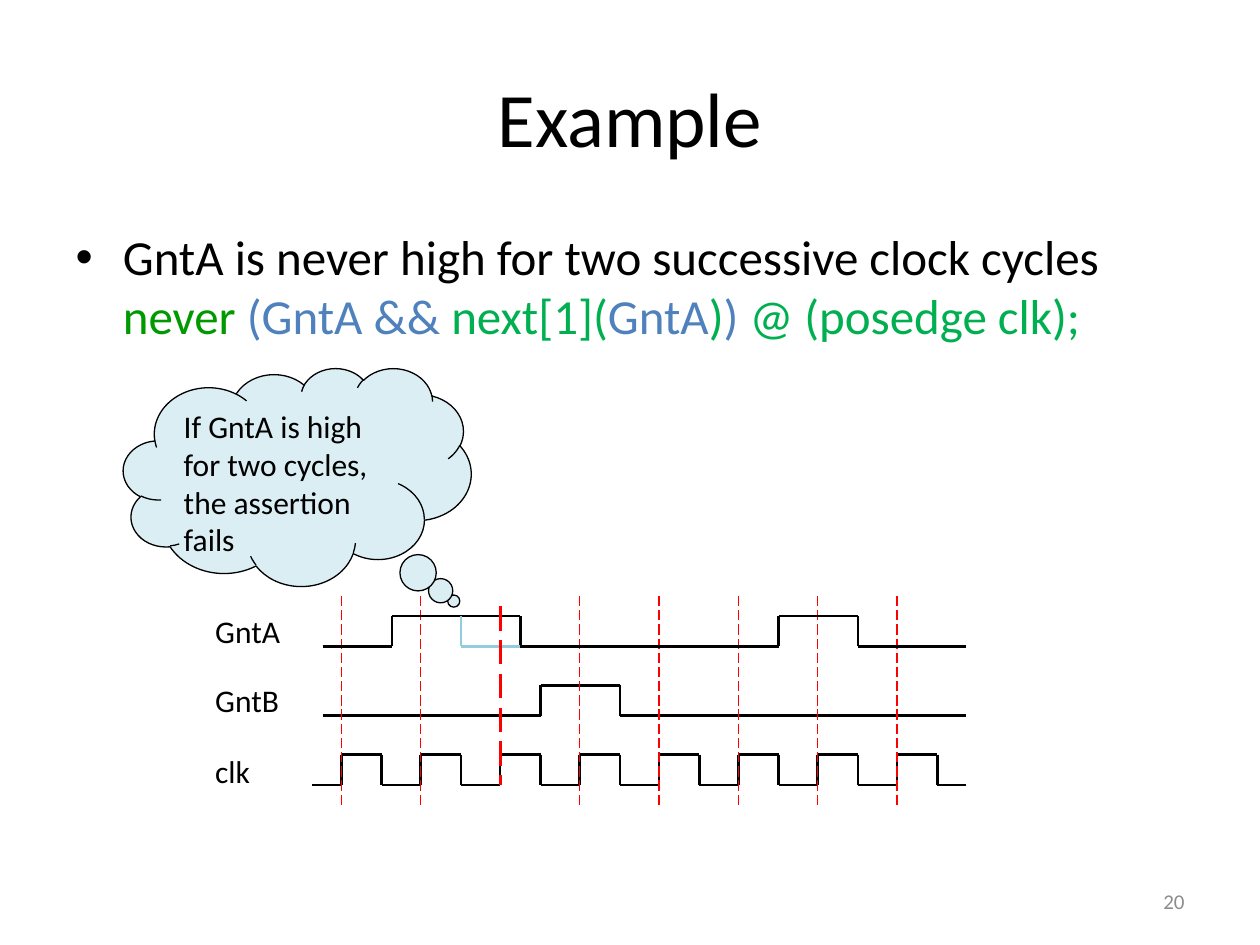
"""Build the GntA assertion slide with its timing diagram."""
from dataclasses import dataclass
from typing import Any, Optional

from lxml import etree
from pptx import Presentation
from pptx import util as u
from pptx.dml.color import RGBColor
from pptx.enum import dml, shapes, text
from pptx.oxml import ns

PX = 9144
FONT = "Calibri"
BLACK = RGBColor(0x00, 0x00, 0x00)
RED = RGBColor(0xFF, 0x00, 0x00)
GREY = RGBColor(0x8C, 0x8C, 0x8C)
DARK_GREEN = RGBColor(0x00, 0x99, 0x00)
GREEN = RGBColor(0x00, 0xB0, 0x50)
BLUE = RGBColor(0x4F, 0x81, 0xBD)
SKY = RGBColor(0x93, 0xCD, 0xDD)
PALE_BLUE = RGBColor(0xDB, 0xEE, 0xF4)

WAVE_HEIGHT = 24
PERIOD = 63
HALF_PERIOD = 32
RISING_EDGES = [271 + PERIOD * cycle for cycle in range(8)]
FAILING_EDGE = RISING_EDGES[2]


@dataclass(frozen=True)
class Signal:
    """A waveform that starts low and flips at each toggle."""
    name: str
    label_top: int
    low: int
    start: int
    end: int
    toggles: list[int]


GNT_A = Signal("GntA", 481, 513, 256, 767, [311, 413, 618, 681])
GNT_B = Signal("GntB", 536, 568, 256, 767, [429, 492])
CLK = Signal("clk", 592, 623, 248, 767,
             [x for edge in RISING_EDGES for x in (edge, edge + HALF_PERIOD)])


def box(*lengths: int) -> list[u.Emu]:
    """Turn px lengths into EMU."""
    return [u.Emu(length * PX) for length in lengths]


def add_run(paragraph: Any, words: str, size: int, colour: RGBColor = BLACK) -> None:
    """Append one formatted run."""
    run = paragraph.add_run()
    run.text = words
    run.font.name = FONT
    run.font.size = u.Pt(size)
    run.font.color.rgb = colour


def draw_line(canvas: Any, x1: int, y1: int, x2: int, y2: int,
              colour: RGBColor = BLACK, width: float = 1.5,
              dash: Optional[dml.MSO_LINE] = None) -> None:
    """Draw a straight line without a shadow."""
    line = canvas.add_connector(shapes.MSO_CONNECTOR.STRAIGHT, *box(x1, y1, x2, y2))
    line.line.color.rgb = colour
    line.line.width = u.Pt(width)
    if dash is not None:
        line.line.dash_style = dash
    etree.SubElement(line._element.spPr, ns.qn("a:effectLst"))


def draw_wave(canvas: Any, signal: Signal) -> None:
    """Draw the levels and edges of a signal."""
    x, y = signal.start, signal.low
    high = signal.low - WAVE_HEIGHT
    for toggle in signal.toggles:
        draw_line(canvas, x, y, toggle, y)
        draw_line(canvas, toggle, high, toggle, signal.low)
        x, y = toggle, high if y == signal.low else signal.low
    draw_line(canvas, x, y, signal.end, y)


def draw_label(canvas: Any, signal: Signal) -> None:
    """Write the name of a signal."""
    frame = canvas.add_textbox(*box(161, signal.label_top, 77, 40)).text_frame
    frame.word_wrap = False
    frame.auto_size = text.MSO_AUTO_SIZE.SHAPE_TO_FIT_TEXT
    add_run(frame.paragraphs[0], signal.name, 18)


def place(shape: Any, left: int, top: int, width: int, height: int) -> None:
    """Move and resize a shape."""
    shape.left, shape.top, shape.width, shape.height = box(left, top, width, height)


def write_property(body: Any) -> None:
    """Write the requirement and its assertion."""
    place(body, 50, 175, 904, 130)
    paragraph = body.text_frame.paragraphs[0]
    paragraph.space_before = u.Pt(0)
    add_run(paragraph, "GntA is never high for two successive clock cycles", 28)
    paragraph.add_line_break()
    for words, colour in [("never ", DARK_GREEN), ("(GntA && ", BLUE),
                          ("next[1](", GREEN), ("GntA", BLUE), (")", GREEN),
                          (") ", BLUE), ("@ (posedge clk);", GREEN)]:
        add_run(paragraph, words, 28, colour)


def draw_callout(canvas: Any) -> None:
    """Draw the thought cloud that points at the failing cycle."""
    cloud = canvas.add_shape(shapes.MSO_SHAPE.CLOUD_CALLOUT, *box(98, 292, 276, 173))
    cloud.adjustments[0], cloud.adjustments[1] = 0.45, 0.57
    cloud.shadow.inherit = False
    cloud.fill.solid()
    cloud.fill.fore_color.rgb = PALE_BLUE
    cloud.line.color.rgb = BLACK
    cloud.line.width = u.Pt(0.75)
    frame = cloud.text_frame
    frame.word_wrap = True
    frame.vertical_anchor = text.MSO_ANCHOR.TOP
    paragraph = frame.paragraphs[0]
    paragraph.alignment = text.PP_ALIGN.LEFT
    add_run(paragraph, "If GntA is high for two cycles, the assertion fails", 18)


def write_slide_number(canvas: Any) -> None:
    """Write the slide number at the lower right."""
    frame = canvas.add_textbox(*box(717, 695, 233, 40)).text_frame
    frame.word_wrap = True
    frame.vertical_anchor = text.MSO_ANCHOR.MIDDLE
    frame.paragraphs[0].alignment = text.PP_ALIGN.RIGHT
    add_run(frame.paragraphs[0], "20", 12, GREY)


def main() -> None:
    """Build and save the presentation."""
    presentation = Presentation()
    presentation.slide_width, presentation.slide_height = box(1000, 750)
    slide = presentation.slides.add_slide(presentation.slide_layouts[1])
    canvas = slide.shapes

    place(canvas.title, 50, 30, 900, 125)
    add_run(canvas.title.text_frame.paragraphs[0], "Example", 44)
    write_property(slide.placeholders[1])

    for signal in (GNT_A, GNT_B, CLK):
        draw_label(canvas, signal)
    draw_wave(canvas, GNT_B)
    draw_wave(canvas.add_group_shape().shapes, CLK)
    for edge in RISING_EDGES:
        if edge != FAILING_EDGE:
            draw_line(canvas, edge, 473, edge, 639, RED, 0.75, dml.MSO_LINE.LONG_DASH)

    draw_callout(canvas)
    draw_wave(canvas, GNT_A)
    draw_line(canvas, 366, GNT_A.low - WAVE_HEIGHT, 366, GNT_A.low, SKY)
    draw_line(canvas, 366, GNT_A.low, 413, GNT_A.low, SKY)
    draw_line(canvas, FAILING_EDGE, 481, FAILING_EDGE, CLK.low, RED, 1.75,
              dml.MSO_LINE.LONG_DASH)
    write_slide_number(canvas)
    presentation.save("out.pptx")


if __name__ == "__main__":
    main()
